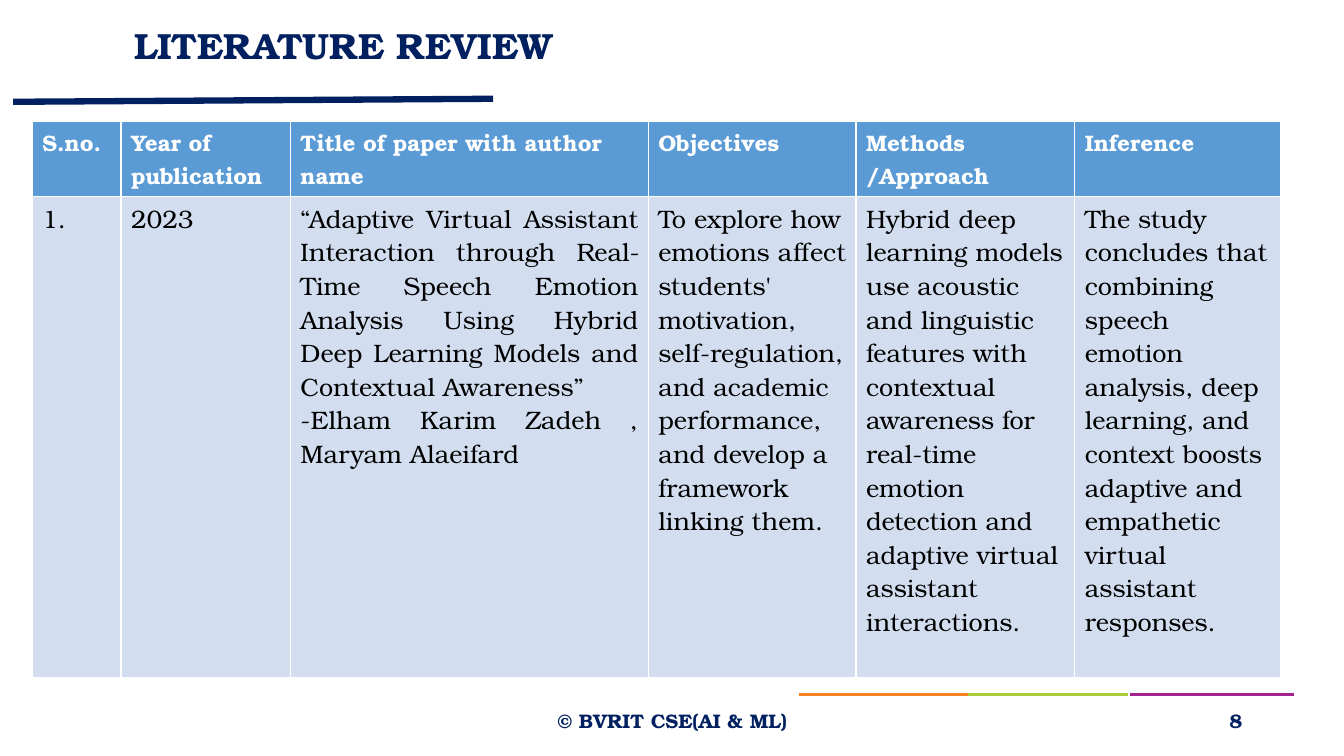
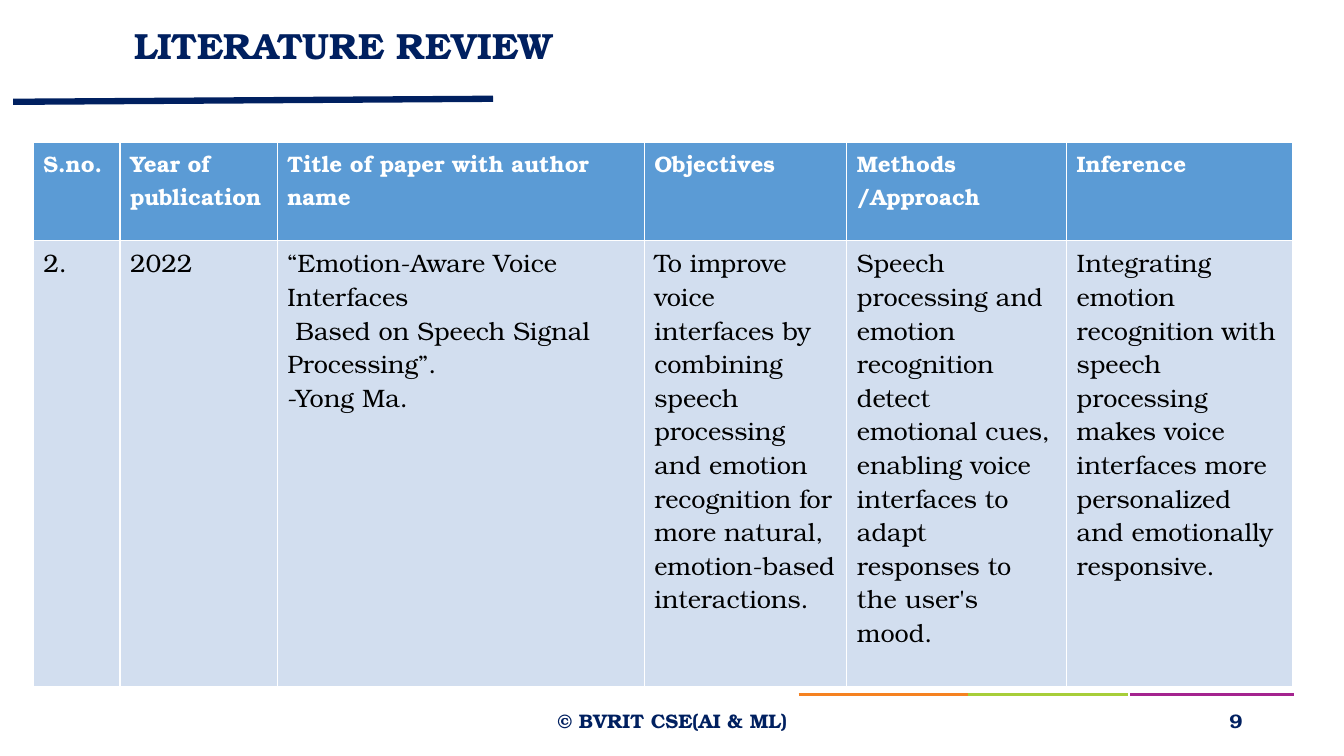
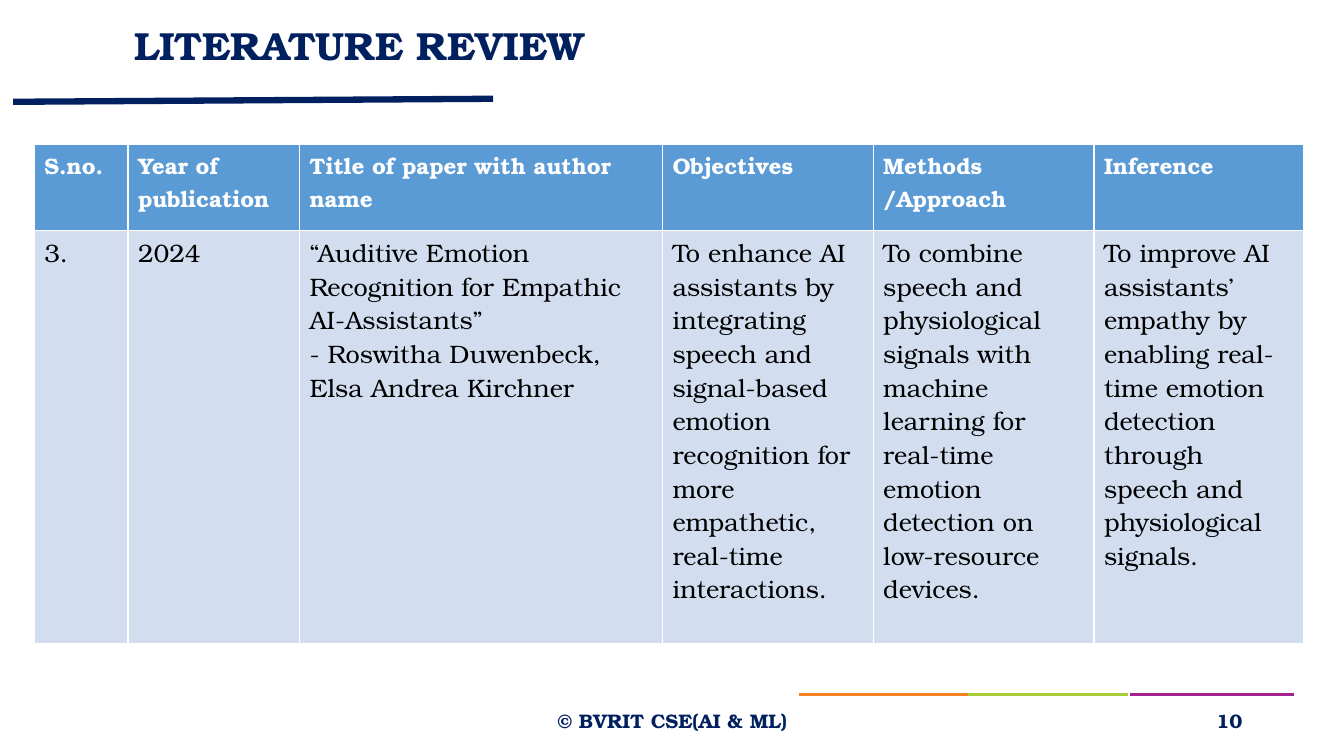
"""Build three literature review slides, each with one table of a paper."""
from lxml.etree import SubElement
from pptx import Presentation
from pptx.dml.color import RGBColor
from pptx.enum.shapes import MSO_CONNECTOR
from pptx.enum.text import MSO_ANCHOR, MSO_AUTO_SIZE, PP_ALIGN
from pptx.oxml.ns import qn
from pptx.util import Inches, Pt

FONT = "TeX Gyre Bonum"
HUES = {
    "navy": "002060",
    "plum": "A4238F",
    "lime": "A7CE39",
    "orange": "F58221",
    "blue": "5B9BD5",
    "pale": "D2DEEF",
    "white": "FFFFFF",
    "black": "000000",
}
RULES = [
    (11.21, 6.89, 12.83, 6.89, "plum", 2.25),
    (9.51, 6.89, 11.19, 6.89, "lime", 2.25),
    (7.92, 6.89, 9.6, 6.89, "orange", 2.25),
    (0.13, 1.01, 4.89, 0.98, "navy", 4.5),
]
HEADS = [
    "S.no.",
    "Year of publication",
    "Title of paper with author name",
    "Objectives",
    "Methods /Approach",
    "Inference",
]
PAGES = [
    {
        "page": 8,
        "size": 26,
        "spot": (0.32, 1.2),
        "cols": [0.88, 1.68, 3.55, 2.06, 2.17, 2.04],
        "rows": [0.73, 4.77],
        "align": PP_ALIGN.JUSTIFY,
        "cells": [
            "1.",
            "2023",
            "“Adaptive Virtual Assistant Interaction through Real-Time Speech Emotion "
            "Analysis Using Hybrid Deep Learning Models and Contextual Awareness”\n"
            "-Elham Karim Zadeh , Maryam Alaeifard",
            "To explore how emotions affect students' motivation, self-regulation, and "
            "academic performance, and develop a framework linking them.",
            "Hybrid deep learning models use acoustic and linguistic features with "
            "contextual awareness for real-time emotion detection and adaptive virtual "
            "assistant interactions.",
            "The study concludes that combining speech emotion analysis, deep learning, "
            "and context boosts adaptive and empathetic virtual assistant responses.",
        ],
    },
    {
        "page": 9,
        "size": 26,
        "spot": (0.33, 1.41),
        "cols": [0.86, 1.56, 3.64, 2.01, 2.18, 2.24],
        "rows": [0.98, 4.42],
        "align": PP_ALIGN.LEFT,
        "cells": [
            "2.",
            "2022",
            "“Emotion-Aware Voice Interfaces\n"
            " Based on Speech Signal Processing”.\n"
            "-Yong Ma.",
            "To improve voice interfaces by combining speech processing and emotion "
            "recognition for more natural, emotion-based interactions.",
            "Speech processing and emotion recognition detect emotional cues, enabling "
            "voice interfaces to adapt responses to the user's mood.",
            "Integrating emotion recognition with speech processing makes voice "
            "interfaces more personalized and emotionally responsive.",
        ],
    },
    {
        "page": 10,
        "size": 28,
        "spot": (0.34, 1.43),
        "cols": [0.93, 1.7, 3.6, 2.09, 2.19, 2.08],
        "rows": [0.86, 4.1],
        "align": PP_ALIGN.LEFT,
        "cells": [
            "3.",
            "2024",
            "“Auditive Emotion Recognition for Empathic AI‑Assistants”\n"
            "- Roswitha Duwenbeck, Elsa Andrea Kirchner",
            "To enhance AI assistants by integrating speech and signal-based emotion "
            "recognition for more empathetic, real-time interactions.",
            "To combine speech and physiological signals with machine learning for "
            "real-time emotion detection on low-resource devices.",
            "To improve AI assistants’ empathy by enabling real-time emotion detection "
            "through speech and physiological signals.",
        ],
    },
]


def tint(name):
    return RGBColor.from_string(HUES[name])


def style(frame, size, hue, bold=True, align=PP_ALIGN.LEFT):
    for para in frame.paragraphs:
        para.alignment = align
        para.font.name = FONT
        para.font.size = Pt(size)
        para.font.bold = bold
        para.font.color.rgb = tint(hue)


deck = Presentation()
deck.slide_width = Inches(13.33)
deck.slide_height = Inches(7.5)

for page in PAGES:
    slide = deck.slides.add_slide(deck.slide_layouts[5])
    shapes = slide.shapes

    for x1, y1, x2, y2, hue, width in RULES:
        rule = shapes.add_connector(
            MSO_CONNECTOR.STRAIGHT, Inches(x1), Inches(y1), Inches(x2), Inches(y2)
        )
        rule.line.color.rgb = tint(hue)
        rule.line.width = Pt(width)
        SubElement(rule.element.spPr, qn("a:effectLst"))

    title = shapes.title
    title.left, title.top = Inches(1.23), Inches(0.15)
    title.width, title.height = Inches(10.68), Inches(0.65)
    frame = title.text_frame
    frame.text = "LITERATURE REVIEW"
    frame.auto_size = MSO_AUTO_SIZE.NONE
    frame.vertical_anchor = MSO_ANCHOR.MIDDLE
    frame.paragraphs[0].line_spacing = 0.9
    style(frame, page["size"], "navy")

    left, top = page["spot"]
    cols, rows = page["cols"], page["rows"]
    table = shapes.add_table(
        len(rows), len(cols), Inches(left), Inches(top),
        Inches(sum(cols)), Inches(sum(rows)),
    ).table
    for col, width in zip(table.columns, cols):
        col.width = Inches(width)
    for row, height in zip(table.rows, rows):
        row.height = Inches(height)
    for i, (head, text) in enumerate(zip(HEADS, page["cells"])):
        top_cell, cell = table.cell(0, i), table.cell(1, i)
        top_cell.text, cell.text = head, text
        for part, hue in ((top_cell, "blue"), (cell, "pale")):
            part.fill.solid()
            part.fill.fore_color.rgb = tint(hue)
        align = page["align"] if i == 2 else PP_ALIGN.LEFT
        style(top_cell.text_frame, 16, "white")
        style(cell.text_frame, 18, "black", False, align)

    for left, width, text, align in (
        (4.42, 4.5, "© BVRIT CSE(AI & ML)", PP_ALIGN.CENTER),
        (9.42, 3, str(page["page"]), PP_ALIGN.RIGHT),
    ):
        box = shapes.add_textbox(Inches(left), Inches(6.95), Inches(width), Inches(0.4))
        frame = box.text_frame
        frame.text = text
        frame.word_wrap = True
        frame.vertical_anchor = MSO_ANCHOR.MIDDLE
        style(frame, 14, "navy", align=align)

deck.save("out.pptx")
